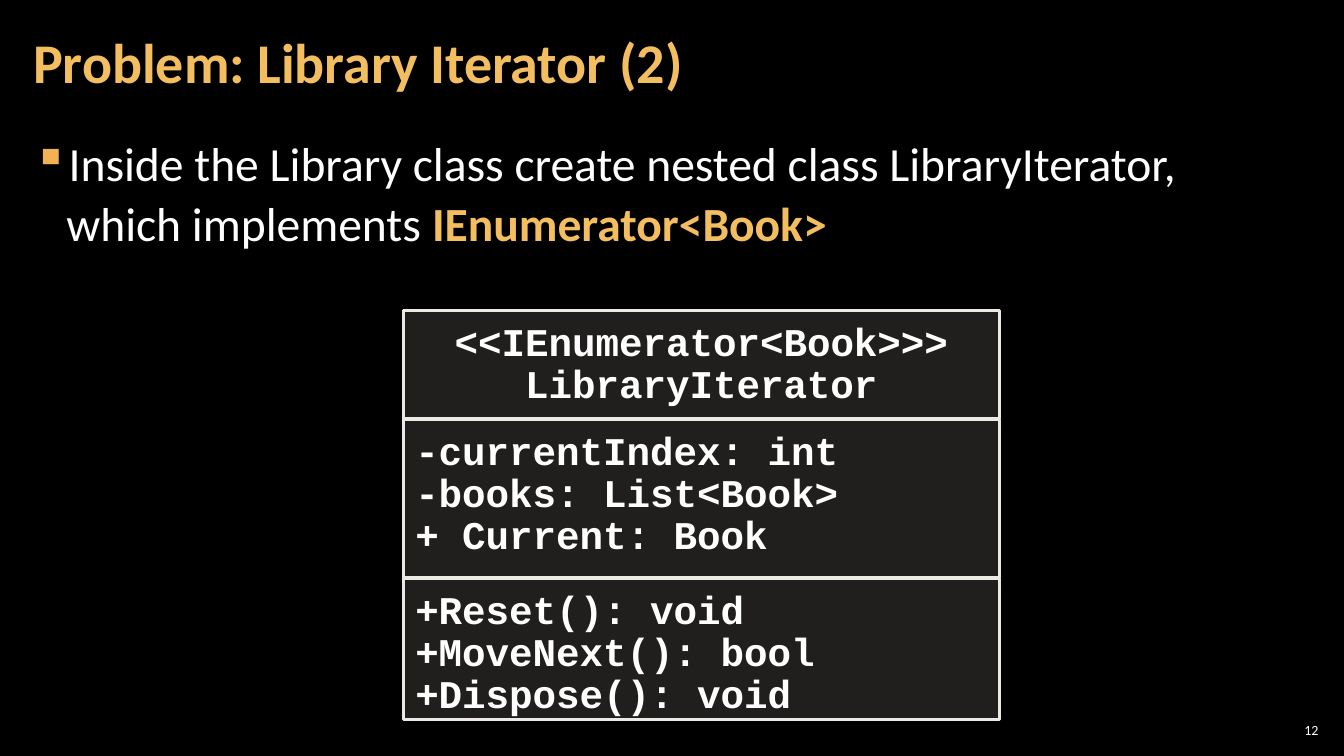
from lxml.etree import SubElement
from pptx import Presentation
from pptx.dml.color import RGBColor
from pptx.enum.shapes import MSO_SHAPE
from pptx.enum.text import MSO_ANCHOR, PP_ALIGN
from pptx.oxml.ns import qn
from pptx.util import Inches, Pt

BLACK = RGBColor(0x00, 0x00, 0x00)
WHITE = RGBColor(0xFF, 0xFF, 0xFF)
GOLD = RGBColor(0xF3, 0xBE, 0x60)
BULLET_GOLD = RGBColor(0xF2, 0xB2, 0x54)
SAND = RGBColor(0xD9, 0xD5, 0xC7)
IVORY = RGBColor(0xEC, 0xEA, 0xE3)

COLUMNS, ROWS = 160, 90

TITLE = {"size": Pt(40), "name": "Calibri", "bold": True, "color": GOLD}
BODY = {"size": Pt(34), "name": "Calibri", "bold": False, "color": WHITE}
KEYWORD = {**BODY, "bold": True, "color": GOLD}
NUMBER = {"size": Pt(10), "name": "Calibri", "bold": False, "color": WHITE}
CODE = {"size": Pt(28), "name": "Courier New", "bold": True, "color": WHITE}

CLASS_LEFT, CLASS_TOP, CLASS_WIDTH, CLASS_GAP = 48, 36.96, 71, 0.12
CLASS_SECTIONS = [
    (12.84, PP_ALIGN.CENTER, ["<<IEnumerator<Book>>>", "LibraryIterator"]),
    (18.84, PP_ALIGN.LEFT,
     ["-currentIndex: int", "-books: List<Book>", "+ Current: Book"]),
    (16.8, PP_ALIGN.LEFT,
     ["+Reset(): void", "+MoveNext(): bool", "+Dispose(): void"]),
]


def set_attributes(target, values):
    for name, value in values.items():
        setattr(target, name, value)


class SlideBuilder:
    def __init__(self, deck):
        self.column = deck.slide_width / COLUMNS
        self.row = deck.slide_height / ROWS
        self.page = deck.slides.add_slide(deck.slide_layouts[6])
        background = self.page.background.fill
        background.solid()
        background.fore_color.rgb = BLACK

    def place(self, left, top, width, height):
        """Turn grid columns and rows into slide lengths."""
        return (round(left * self.column), round(top * self.row),
                round(width * self.column), round(height * self.row))

    def frame(self, box, side, edge, anchor):
        set_attributes(box.text_frame, {
            "word_wrap": True, "vertical_anchor": anchor,
            "margin_left": Inches(side), "margin_right": Inches(side),
            "margin_top": Inches(edge), "margin_bottom": Inches(edge),
        })
        return box.text_frame

    def span(self, para, text, style):
        span = para.add_run()
        span.text = text
        font = dict(style)
        span.font.color.rgb = font.pop("color")
        set_attributes(span.font, font)

    def text(self, area, side=0.12, anchor=MSO_ANCHOR.TOP, **layout):
        """Add a text box and return its only paragraph."""
        box = self.page.shapes.add_textbox(*self.place(*area))
        para = self.frame(box, side, 0.04, anchor).paragraphs[0]
        set_attributes(para, layout)
        return para

    def bullet(self, para, symbol, color):
        properties = para._p.get_or_add_pPr()
        properties.set("marL", str(Inches(0.33)))
        properties.set("indent", str(-Inches(0.33)))
        tint = SubElement(properties, qn("a:buClr"))
        SubElement(tint, qn("a:srgbClr"), val=str(color))
        SubElement(properties, qn("a:buChar"), char=symbol)

    def class_section(self, area, alignment, lines):
        box = self.page.shapes.add_shape(MSO_SHAPE.RECTANGLE, *self.place(*area))
        box.shadow.inherit = False
        box.fill.solid()
        box.fill.fore_color.rgb = SAND
        tint = box.fill._xPr.find(qn("a:solidFill"))[0]
        SubElement(tint, qn("a:alpha"), val="15000")
        box.line.color.rgb = IVORY
        box.line.width = Pt(2)
        frame = self.frame(box, 0.12, 0.12, MSO_ANCHOR.TOP)
        for index, line in enumerate(lines):
            para = frame.add_paragraph() if index else frame.paragraphs[0]
            set_attributes(para, {"alignment": alignment, "line_spacing": Pt(30)})
            self.span(para, line, CODE)


def main():
    deck = Presentation()
    set_attributes(deck, {"slide_width": Inches(13.33), "slide_height": Inches(7.5)})
    builder = SlideBuilder(deck)

    number = builder.text((151.8, 85.7, 5.64, 2.5), side=0.04,
                          anchor=MSO_ANCHOR.MIDDLE, alignment=PP_ALIGN.RIGHT)
    builder.span(number, "12", NUMBER)

    task = builder.text((2.5, 15.1, 155, 73.1), line_spacing=1.05,
                        space_before=Pt(6), space_after=Pt(6))
    builder.bullet(task, "▪", BULLET_GOLD)
    builder.span(task, "Inside the Library class create nested class LibraryIterator,", BODY)
    task.add_line_break()
    builder.span(task, "which implements ", BODY)
    builder.span(task, "IEnumerator<Book>", KEYWORD)

    title = builder.text((2.5, 0.5, 125.6, 14.5), anchor=MSO_ANCHOR.MIDDLE,
                         line_spacing=0.9)
    builder.span(title, "Problem: Library Iterator (2)", TITLE)

    top = CLASS_TOP
    for height, alignment, lines in CLASS_SECTIONS:
        builder.class_section((CLASS_LEFT, top, CLASS_WIDTH, height), alignment, lines)
        top += height + CLASS_GAP

    deck.save("out.pptx")


if __name__ == "__main__":
    main()
